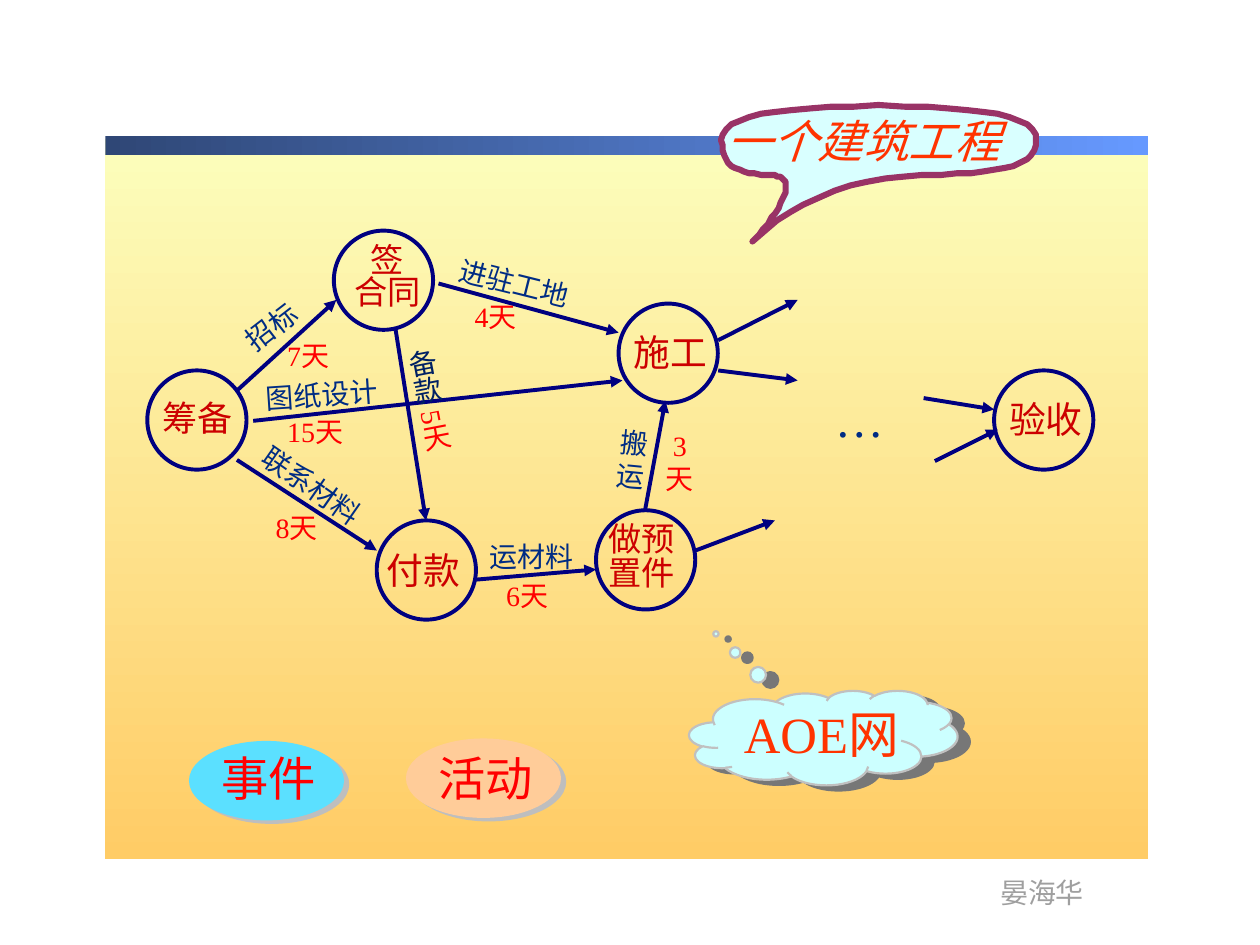
from lxml import etree
from pptx import Presentation
from pptx.dml.color import RGBColor
from pptx.enum.shapes import MSO_CONNECTOR, MSO_SHAPE
from pptx.enum.text import MSO_ANCHOR, MSO_AUTO_SIZE, PP_ALIGN
from pptx.oxml.ns import qn
from pptx.util import Pt

SERIF, HAN = "Times New Roman", "Noto Sans CJK SC"
NAVY, BLUE, RED, CRIMSON, ORANGE = "000080", "002C84", "FF0000", "CC0000", "FF3300"
LEFT, MID = PP_ALIGN.LEFT, PP_ALIGN.CENTER
WIDE = 56.7  # diameter of an event circle

# circle left and top, lines, label box, size, alignment, line spacing
EVENTS = [
    (84.2, 211.7, ["筹备"], (85.7, 223.2, 68.4, 31), 20, LEFT, None),
    (215.3, 297.4, ["付款"], (213.8, 309.6, 76.3, 32.4), 21, LEFT, None),
    (190.8, 131.8, ["签", "合同"], (169.2, 137.5, 104.4, 44), 19, MID, 0.8),
    (340.6, 291.6, ["做预", "置件"], (340.6, 295.9, 69.8, 46), 19, LEFT, 0.85),
    (568.1, 211.7, ["验收"], (569.5, 223.2, 78.5, 32.4), 21, LEFT, None),
    (353.5, 173.5, ["施工"], (355, 185, 69.1, 32.4), 21, LEFT, None),
]
ARROWS = [
    (135.4, 223.2, 192.2, 171.4), (135.4, 262.8, 215.3, 314.6),
    (144.7, 240.5, 355.7, 217.4), (250.6, 162, 353.5, 190.1),
    (272.2, 331.2, 340.6, 325.4), (226.1, 188.6, 243.4, 297.4),
    (410.4, 194.4, 455.8, 171.4), (397.4, 314.6, 442.8, 297.4),
    (410.4, 211.7, 455.8, 217.4), (527.8, 227.5, 568.1, 234),
    (368.6, 291.6, 380.2, 229), (534.2, 263.5, 570.2, 245.5),
]
# task, left, top, width, turn
TASKS = [
    ("招标", 129.6, 166.3, 69.8, 322.4), ("联系材料", 136.1, 274.3, 113.8, 34.8),
    ("图纸设计", 144.7, 211.7, 96.5, 356.2), ("进驻工地", 254.2, 154.1, 124.6, 14),
    ("运材料", 272.9, 304.6, 75.6, 0),
]
# days, left, top, width
DAYS = [
    (7, 157, 190.1, 50.4), (8, 150.5, 288, 55.4), (15, 157, 233.3, 67),
    (4, 264.2, 167.8, 49), (6, 282.2, 326.9, 49),
]
# control point and end point of each curve of the balloon
START = (412.5, 80)
CURVES = [
    ((412.5, 60.5), (502.5, 60.5)), ((592.5, 60.5), (592.5, 80)),
    ((592.5, 99.5), (538.5, 99.5)), ((468.7, 99.5), (430.5, 138.2)),
    ((449.3, 115.2), (449.3, 106.5)), ((449.3, 99.5), (435, 99.5)),
    ((412.5, 99.5), START),
]


def color(code):
    return RGBColor.from_string(code)


def paint(shape, fill=None, line=None, width=2.25):
    shape.shadow.inherit = False
    if fill:
        shape.fill.solid()
        shape.fill.fore_color.rgb = color(fill)
    else:
        shape.fill.background()
    if line:
        shape.line.color.rgb = color(line)
        shape.line.width = Pt(width)
    else:
        shape.line.fill.background()
    return shape


def shape(slide, kind, at, *style):
    return paint(slide.shapes.add_shape(kind, *map(Pt, at)), *style)


def shade(effects, tint, dist, angle):
    """Add a hard shadow to an effect list."""
    cast = etree.SubElement(effects, qn("a:outerShdw"), dist=str(Pt(dist)),
                            dir=str(angle * 60000), algn="ctr", rotWithShape="0")
    etree.SubElement(cast, qn("a:srgbClr"), val=tint)


def cast(item, *look):
    shade(item._element.spPr.find(qn("a:effectLst")), *look)


def emboss(box, tint):
    """Give the letters of a box a small shadow."""
    for run in box.text_frame.paragraphs[0].runs:
        fill = run.font._element.find(qn("a:solidFill"))
        effects = etree.Element(qn("a:effectLst"))
        fill.addnext(effects)
        shade(effects, tint, 2, 45)


def band(slide, at, first, last, angle):
    bar = shape(slide, MSO_SHAPE.RECTANGLE, at)
    bar.fill.gradient()
    bar.fill.gradient_angle = angle
    for stop, code, place in zip(bar.fill.gradient_stops, (first, last), (0, 1)):
        stop.color.rgb = color(code)
        stop.position = place


def label(slide, lines, at, size, tint, align=LEFT, gap=None, turn=0, wrap=True):
    """Add text; a bar in a line splits it into a serif run and Han runs."""
    box = slide.shapes.add_textbox(*map(Pt, at))
    box.rotation = turn
    frame = box.text_frame
    frame.text = "\n".join(line.split("|")[0] for line in lines)
    frame.word_wrap = wrap
    frame.auto_size = MSO_AUTO_SIZE.SHAPE_TO_FIT_TEXT
    for para, line in zip(frame.paragraphs, lines):
        para.alignment = align
        para.line_spacing = gap
        for part in line.split("|")[1:]:
            para.add_run().text = part
        for spot, run in enumerate(para.runs):
            run.font.size = Pt(size)
            run.font.name = HAN if spot else SERIF
            run.font.color.rgb = color(tint)
    return box


def arrow(slide, ends):
    link = slide.shapes.add_connector(MSO_CONNECTOR.STRAIGHT, *map(Pt, ends))
    link.line.color.rgb = color(NAVY)
    link.line.width = Pt(2.25)
    etree.SubElement(link.line._get_or_add_ln(), qn("a:tailEnd"), type="triangle")
    etree.SubElement(link._element.spPr, qn("a:effectLst"))


def balloon(slide, steps=12):
    """Draw the speech balloon from quadratic curves."""
    dots, last = [], START
    for bend, end in CURVES:
        for step in range(1, steps + 1):
            t = step / steps
            dots.append(tuple((1 - t) ** 2 * a + 2 * t * (1 - t) * b + t * t * c
                              for a, b, c in zip(last, bend, end)))
        last = end
    path = slide.shapes.build_freeform(*START, scale=Pt(1))
    path.add_line_segments(dots, close=True)
    paint(path.convert_to_shape(), "D9FFFF", "993366", 3.5)


def upright(slide):
    """Add the vertical label of the payment task."""
    box = label(slide, ["备款 |5|天"], (229, 192.2, 31.7, 80.6), 16, RED, MID, 0.9, 349.1, False)
    box.text_frame.vertical_anchor = MSO_ANCHOR.MIDDLE
    box.text_frame._txBody.bodyPr.set("vert", "eaVert")
    task, count, _ = box.text_frame.paragraphs[0].runs
    task.font.name, count.font.name = HAN, SERIF
    task.font.color.rgb = color("002164")


def badge(slide, word, left, top, fill):
    oval = shape(slide, MSO_SHAPE.OVAL, (left, top, 88.6, 45.4), fill)
    cast(oval, "BEBEBE", 3.6, 34)
    box = label(slide, [word], (left - 20, 424.8, 131, 39.6), 27, RED, MID)
    emboss(box, "000000")


def cloud(slide):
    puff = shape(slide, MSO_SHAPE.CLOUD_CALLOUT, (393.8, 394.6, 153.4, 54), "CCFFFF", "C0C0C0", 1.25)
    puff.adjustments[0], puff.adjustments[1] = -0.4, -1.1
    cast(puff, "777777", 7.6, 23)
    box = label(slide, ["AOE|网"], (400.3, 398.2, 138.2, 41.8), 29, ORANGE, MID)
    box.text_frame.vertical_anchor = MSO_ANCHOR.MIDDLE
    emboss(box, "008080")


def main():
    deck = Presentation()
    deck.slide_width, deck.slide_height = Pt(720), Pt(540)
    slide = deck.slides.add_slide(deck.slide_layouts[6])
    band(slide, (59.8, 79.2, 596.2, 411.8), "FCFEBC", "FFCC66", 270)
    band(slide, (60.2, 77.8, 595.8, 10.8), "2F4776", "6699FF", 0)
    name = label(slide, ["晏海华"], (564.5, 496.8, 62.6, 26.6), 16, "9F9F9F", wrap=False)
    name.text_frame.paragraphs[0].runs[0].font.name = "Arial Narrow"
    cloud(slide)
    for left, top, lines, at, size, align, gap in EVENTS:
        shape(slide, MSO_SHAPE.OVAL, (left, top, WIDE, WIDE), None, NAVY)
        label(slide, lines, at, size, CRIMSON, align, gap)
    for ends in ARROWS:
        arrow(slide, ends)
    label(slide, ["…"], (463.7, 218.2, 54.7, 41), 28, BLUE, MID)
    for task, left, top, width, turn in TASKS:
        label(slide, [task], (left, top, width, 26.6), 16, BLUE, turn=turn)
    for count, left, top, width in DAYS:
        label(slide, [f"{count}|天"], (left, top, width, 26.6), 16, RED)
    label(slide, ["搬", "运"], (346.3, 239.8, 30.2, 46), 16, BLUE, MID, turn=5.6)
    label(slide, ["3", "天"], (373, 241.2, 31, 46), 16, RED, MID, wrap=False)
    upright(slide)
    balloon(slide)
    title = label(slide, ["一个建筑工程"], (408.2, 61.2, 202.3, 38.2), 26, ORANGE)
    title.text_frame.paragraphs[0].runs[0].font.italic = True
    badge(slide, "事件", 108, 423.4, "5BE0FF")
    badge(slide, "活动", 232, 422, "FFCC99")
    deck.save("out.pptx")


if __name__ == "__main__":
    main()
